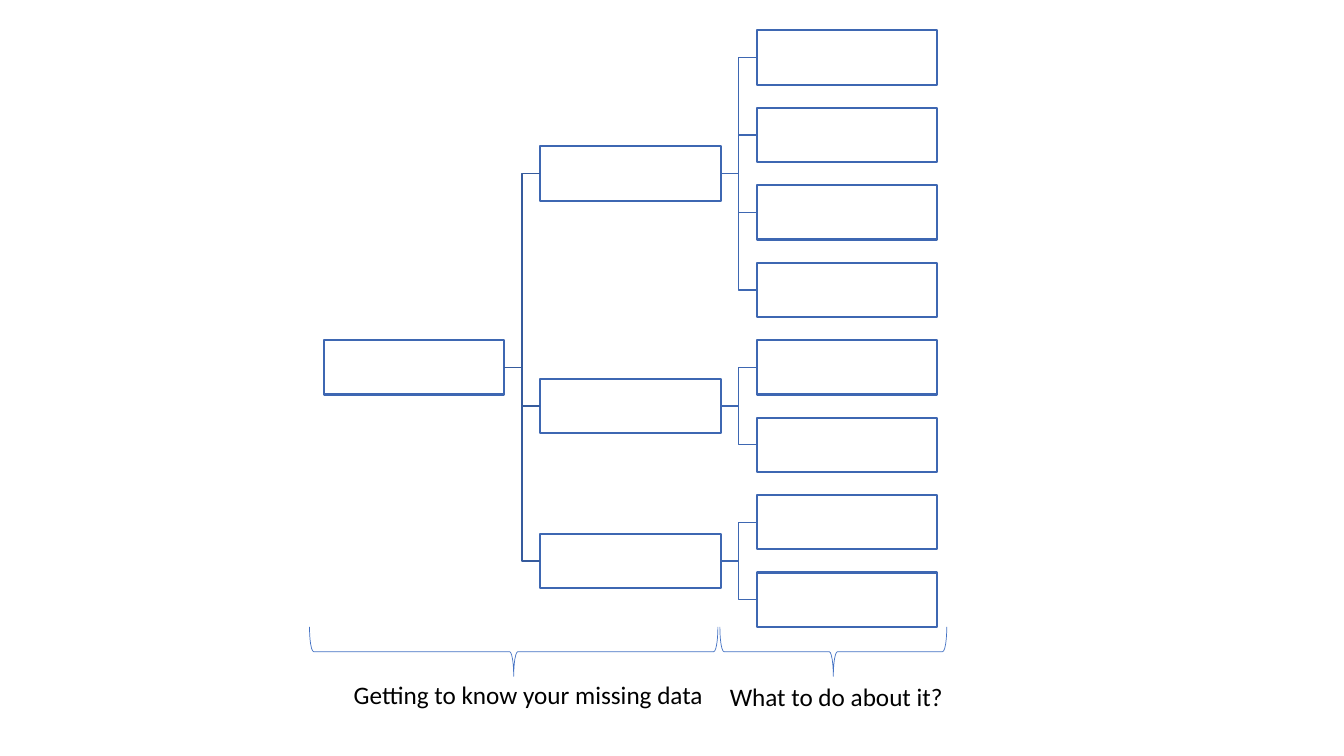
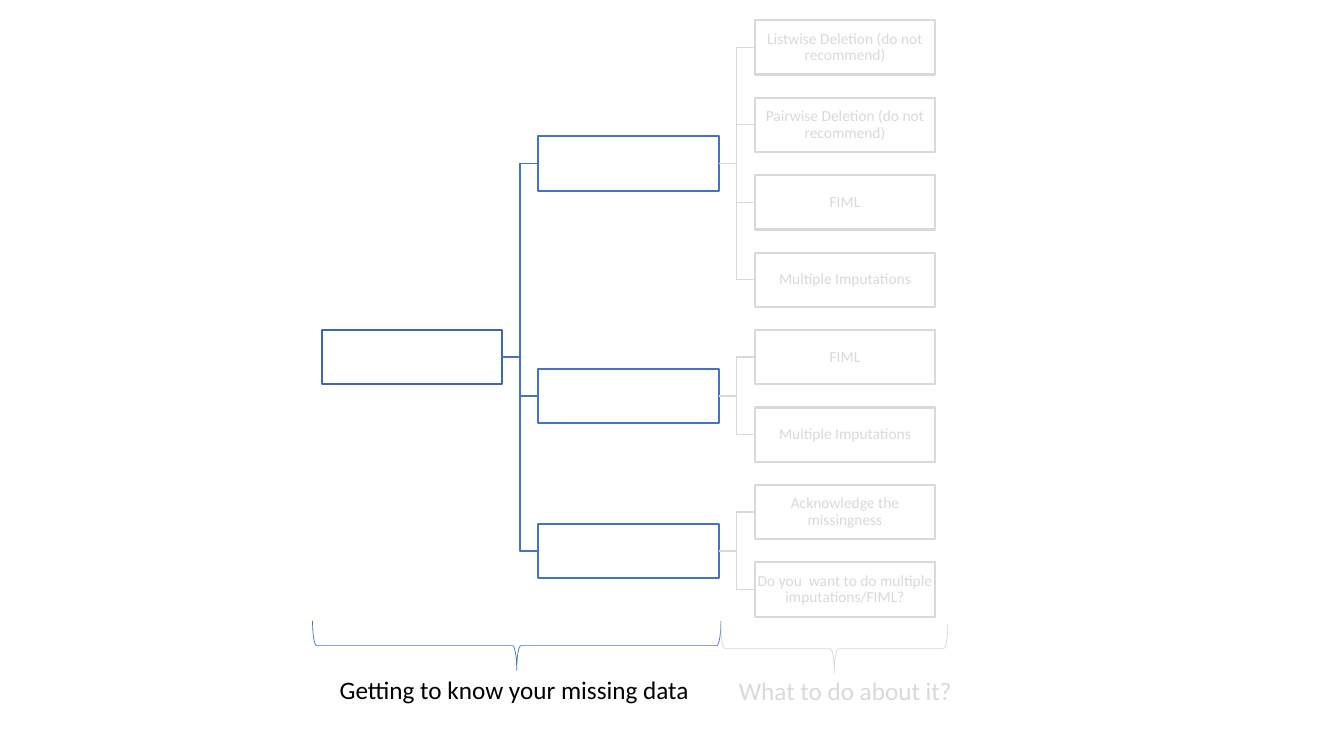
from lxml.etree import SubElement
from pptx import Presentation
from pptx.dml.color import RGBColor
from pptx.enum.shapes import MSO_CONNECTOR, MSO_SHAPE
from pptx.enum.text import MSO_ANCHOR, MSO_AUTO_SIZE, PP_ALIGN
from pptx.oxml.ns import qn
from pptx.util import Inches, Pt

BLUE, DEEP_BLUE, DARK_BLUE = "4472C4", "3E67B2", "365B9D"
GREY, BLACK, WHITE = "D9D9D9", "000000", "FFFFFF"

# Tree geometry in inches
BOX_WIDTH, BOX_HEIGHT = 1.79, 0.54
COLUMN_STEP = BOX_WIDTH * 1.2
LEAF_STEP = 5.38 / 7
BRACE_DEPTH = 0.49
RIGHT, LEFT = 3, 1

# Leaves of each branch
BLANK_TREE = [[""] * 4, [""] * 2, [""] * 2]
METHOD_TREE = [
    ["Listwise Deletion (do not recommend)",
     "Pairwise Deletion (do not recommend)",
     "FIML", "Multiple Imputations"],
    ["FIML", "Multiple Imputations"],
    ["Acknowledge the missingness",
     "Do you  want to do multiple imputations/FIML?"],
]


def color(value):
    return RGBColor.from_string(value)


class TreeDeck:
    """Holds the shared style and the current slide."""

    font = "Calibri"

    def __init__(self):
        self.deck = Presentation()
        self.deck.slide_width = Inches(13.33)
        self.deck.slide_height = Inches(7.5)
        self.page = None

    def new_page(self):
        self.page = self.deck.slides.add_slide(self.deck.slide_layouts[6])

    def add_span(self, para, text, size, ink):
        span = para.add_run()
        span.text = text
        span.font.name = self.font
        span.font.size = Pt(size)
        span.font.color.rgb = color(ink)

    def outline(self, shape, ink, weight):
        shape.line.color.rgb = color(ink)
        shape.line.width = Pt(weight)

    def box(self, left, top, ink, text=""):
        box = self.page.shapes.add_shape(
            MSO_SHAPE.RECTANGLE, Inches(left), Inches(top),
            Inches(BOX_WIDTH), Inches(BOX_HEIGHT))
        box.shadow.inherit = False
        box.fill.solid()
        box.fill.fore_color.rgb = color(WHITE)
        self.outline(box, ink, 1.5)
        if text:
            frame = box.text_frame
            frame.word_wrap = True
            frame.vertical_anchor = MSO_ANCHOR.MIDDLE
            frame.margin_left = frame.margin_right = Inches(0.01)
            frame.margin_top = frame.margin_bottom = Inches(0.01)
            para = frame.paragraphs[0]
            para.alignment = PP_ALIGN.CENTER
            para.line_spacing = 0.9
            self.add_span(para, text, 11, ink)
        return box

    def link(self, parent, child, ink):
        link = self.page.shapes.add_connector(MSO_CONNECTOR.ELBOW, 0, 0, 0, 0)
        link.begin_connect(parent, RIGHT)
        link.end_connect(child, LEFT)
        self.outline(link, ink, 1)
        SubElement(link._element.spPr, qn("a:effectLst"))

    def tree(self, left, top, branches, root_ink, branch_ink, leaf_ink,
             root_link_ink):
        """Centre each parent on its first and last child."""
        branch_tops, branch_boxes = [], []
        leaf_top = top
        for leaves in branches:
            tops = [leaf_top + LEAF_STEP * i for i in range(len(leaves))]
            leaf_top = tops[-1] + LEAF_STEP
            branch_tops.append((tops[0] + tops[-1]) / 2)
            branch = self.box(left + COLUMN_STEP, branch_tops[-1], branch_ink)
            branch_boxes.append(branch)
            for text, y in zip(leaves, tops):
                leaf = self.box(left + 2 * COLUMN_STEP, y, leaf_ink, text)
                self.link(branch, leaf, leaf_ink)
        root = self.box(left, (branch_tops[0] + branch_tops[-1]) / 2, root_ink)
        for branch in branch_boxes:
            self.link(root, branch, root_link_ink)

    def brace(self, left, top, width, ink):
        """Turn a left brace so that it points down below the tree."""
        shift = (width - BRACE_DEPTH) / 2
        brace = self.page.shapes.add_shape(
            MSO_SHAPE.LEFT_BRACE, Inches(left + shift), Inches(top - shift),
            Inches(BRACE_DEPTH), Inches(width))
        brace.rotation = 270
        brace.shadow.inherit = False
        brace.fill.background()
        self.outline(brace, ink, 0.5)

    def label(self, left, top, width, text, ink):
        box = self.page.shapes.add_textbox(
            Inches(left), Inches(top), Inches(width), Inches(0.4))
        frame = box.text_frame
        frame.word_wrap = False
        frame.auto_size = MSO_AUTO_SIZE.SHAPE_TO_FIT_TEXT
        self.add_span(frame.paragraphs[0], text, 18, ink)

    def know_part(self, brace_at, label_at):
        self.brace(*brace_at, 4.05, BLUE)
        self.label(*label_at, 3.71, "Getting to know your missing data", BLACK)

    def act_part(self, brace_at, label_at, brace_ink, text_ink):
        self.brace(*brace_at, 2.25, brace_ink)
        self.label(*label_at, 2.34, "What to do about it?", text_ink)


def main():
    show = TreeDeck()

    # Slide 1: blank tree
    show.new_page()
    show.tree(3.21, 0.3, BLANK_TREE, DEEP_BLUE, DEEP_BLUE, DEEP_BLUE, DARK_BLUE)
    show.know_part((3.07, 6.22), (3.41, 6.69))
    show.act_part((7.14, 6.22), (7.14, 6.71), BLUE, BLACK)

    # Slide 2: first part in focus, methods greyed out
    show.new_page()
    show.tree(3.19, 0.2, METHOD_TREE, DEEP_BLUE, BLUE, GREY, BLUE)
    show.know_part((3.1, 6.16), (3.27, 6.64))
    show.act_part((7.15, 6.19), (7.23, 6.65), GREY, GREY)

    show.deck.save("out.pptx")


if __name__ == "__main__":
    main()
